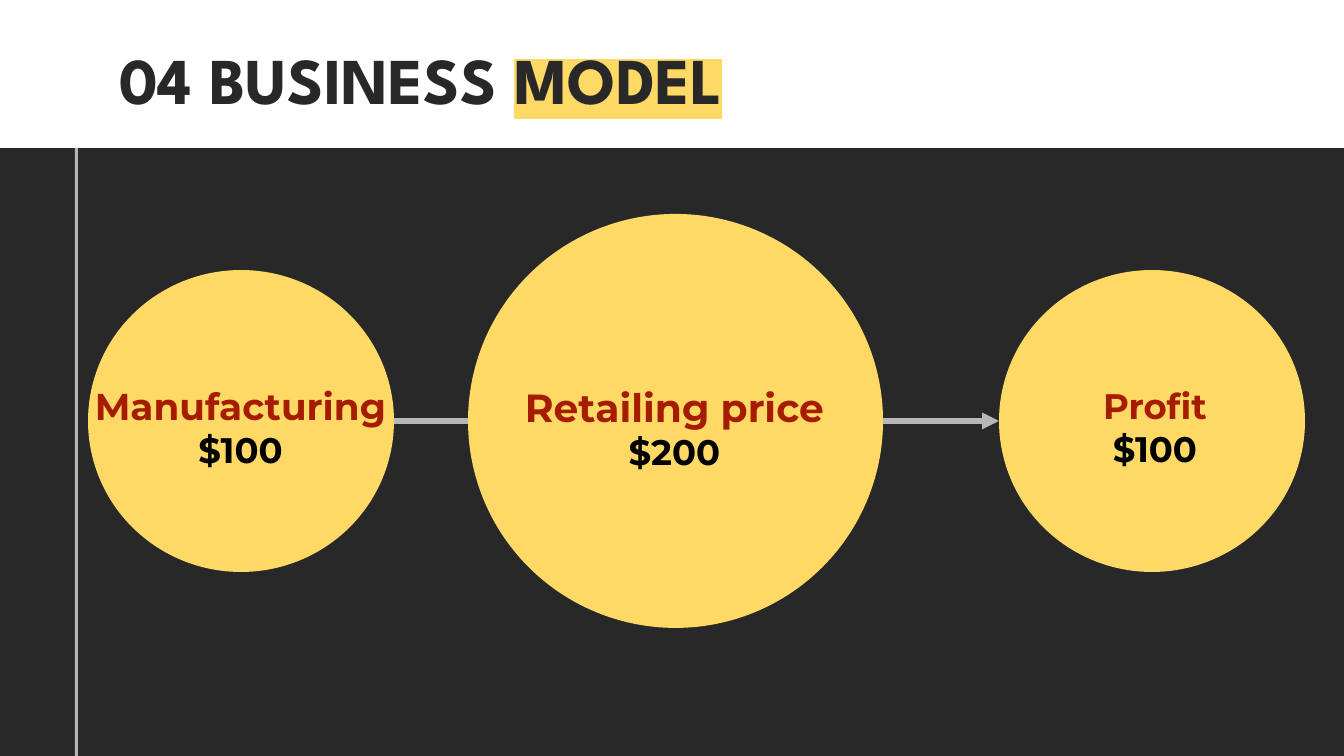
from lxml import etree
from pptx import Presentation
from pptx import util as u
from pptx.dml import color
from pptx.enum import shapes, text
from pptx.oxml import ns

SCALE = 914400 / 134.4
COLORS = {"dark": "292828", "white": "FFFFFF", "gray": "B7B7B7",
          "yellow": "FFD966", "red": "A61C00", "black": "000000"}
INSET = u.Inches(0.1)
FRAME = {"word_wrap": True, "margin_left": INSET, "margin_right": INSET,
         "margin_top": INSET, "margin_bottom": INSET}


def px(*lengths):
    return [u.Emu(round(length * SCALE)) for length in lengths]


def add_run(paragraph, words, font_name, size, color_name):
    run = paragraph.add_run()
    run.text = words
    font_format = {"name": font_name, "size": u.Pt(size), "bold": True}
    for name, value in font_format.items():
        setattr(run.font, name, value)
    run.font.color.rgb = color.RGBColor.from_string(COLORS[color_name])
    return run


presentation = Presentation()
presentation.slide_width, presentation.slide_height = px(1344, 756)
slide = presentation.slides.add_slide(presentation.slide_layouts[6])
slide.background.fill.solid()
slide.background.fill.fore_color.rgb = color.RGBColor.from_string(COLORS["dark"])

rectangle, oval = shapes.MSO_SHAPE.RECTANGLE, shapes.MSO_SHAPE.OVAL
for kind, box, color_name in [
    (rectangle, (0, 0, 1344, 148), "white"),
    (rectangle, (75, 148, 3, 608), "gray"),
    (oval, (468, 214, 415, 414), "yellow"),
    (oval, (88, 270, 306, 302), "yellow"),
    (oval, (999, 270, 306, 302), "yellow"),
]:
    shape = slide.shapes.add_shape(kind, *px(*box))
    shape.shadow.inherit = False
    shape.fill.solid()
    shape.fill.fore_color.rgb = color.RGBColor.from_string(COLORS[color_name])
    shape.line.fill.background()

title_frame = slide.shapes.add_textbox(*px(106, 36, 1133, 85)).text_frame
for name, value in {**FRAME, "vertical_anchor": text.MSO_ANCHOR.MIDDLE}.items():
    setattr(title_frame, name, value)
title = title_frame.paragraphs[0]
add_run(title, "04 BUSINESS ", "League Spartan", 35, "dark")
model = add_run(title, "MODEL", "League Spartan", 35, "dark")
highlight = etree.Element(ns.qn("a:highlight"))
etree.SubElement(highlight, ns.qn("a:srgbClr"), val=COLORS["yellow"])
model.font._element.find(ns.qn("a:solidFill")).addnext(highlight)

for start, end, has_arrow in [(468, 394, False), (883, 999, True)]:
    connector = slide.shapes.add_connector(
        shapes.MSO_CONNECTOR.STRAIGHT, *px(start, 421, end, 421))
    connector.line.width = u.Pt(3)
    connector.line.color.rgb = color.RGBColor.from_string(COLORS["gray"])
    if has_arrow:
        etree.SubElement(connector.line._get_or_add_ln(), ns.qn("a:tailEnd"), type="triangle")
    etree.SubElement(connector._element.spPr, ns.qn("a:effectLst"))

for box, label, label_size, price in [
    ((74, 370, 333, 116), "Manufacturing", 20, "$100"),
    ((474, 370, 401, 118), "Retailing price", 21, "$200"),
    ((1007, 371, 296, 113), "Profit", 19, "$100"),
]:
    frame = slide.shapes.add_textbox(*px(*box)).text_frame
    for name, value in {**FRAME, "auto_size": text.MSO_AUTO_SIZE.SHAPE_TO_FIT_TEXT}.items():
        setattr(frame, name, value)
    add_run(frame.paragraphs[0], label, "Montserrat", label_size, "red")
    add_run(frame.add_paragraph(), price, "Montserrat", 19, "black")
    for paragraph in frame.paragraphs:
        paragraph.alignment = text.PP_ALIGN.CENTER

presentation.save("out.pptx")
